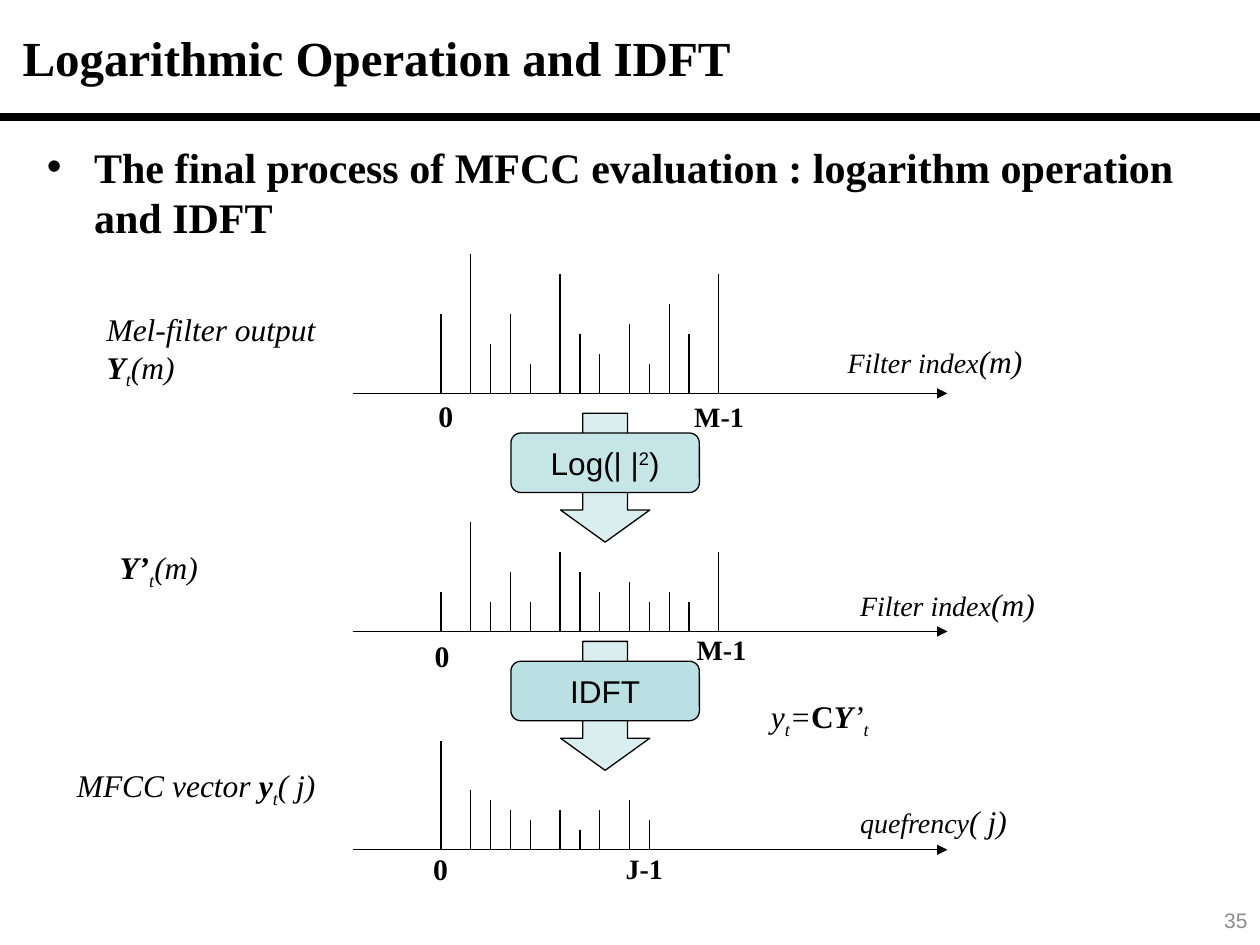
"""Build the slide on the logarithm and IDFT steps of MFCC evaluation."""
import pptx
import pptx.dml.color
import pptx.enum.shapes
import pptx.enum.text
import pptx.oxml.ns
import pptx.util
from lxml import etree

Cm = pptx.util.Cm
Pt = pptx.util.Pt
RGBColor = pptx.dml.color.RGBColor
ALIGN = pptx.enum.text.PP_ALIGN
ANCHOR = pptx.enum.text.MSO_ANCHOR
SHAPE = pptx.enum.shapes.MSO_SHAPE
qn = pptx.oxml.ns.qn

BLACK = RGBColor(0x00, 0x00, 0x00)
GRAY = RGBColor(0x8C, 0x8C, 0x8C)
ARROW_FILL = RGBColor(0xD2, 0xEA, 0xEC)
LOG_FILL = RGBColor(0xC5, 0xE5, 0xE7)
IDFT_FILL = RGBColor(0xBB, 0xE0, 0xE3)
SERIF, SANS = "Times New Roman", "Arial"

TITLE = "Logarithmic Operation and IDFT"
BODY = "The final process of MFCC evaluation : logarithm operation and IDFT"

GRID = 0.2
AXIS_LEFT, AXIS_RIGHT, STEM_LEFT = 7.11, 19.1, 8.89
STEM_STEPS = (0, 3, 5, 7, 9, 12, 14, 16, 19, 21, 23, 25, 28)
SPECTRA = [
    (7.93, (8, 14, 5, 8, 3, 12, 6, 4, 7, 3, 9, 6, 12)),
    (12.73, (4, 11, 3, 6, 3, 8, 6, 4, 5, 3, 4, 3, 8)),
    (17.13, (11, 6, 5, 4, 3, 4, 2, 4, 5, 3)),
]
STEPS = [
    (8.33, LOG_FILL, [("Log(| |", ""), ("2", "^"), (")", "")]),
    (12.93, IDFT_FILL, [("IDFT", "")]),
]

FORMULAS = [
    (1.9, 6.12, 4.93, 1.8, [("Mel-filter output", "i"), ("\n", ""), ("Y", "bi"), ("t", "i_"), ("(m)", "i")]),
    (2.16, 10.92, 2.13, 1.02, [("Y’", "bi"), ("t", "i_"), ("(m)", "i")]),
    (1.3, 15.32, 5.33, 1.02, [("MFCC vector ", "i"), ("y", "bi"), ("t", "i_"), ("( j)", "i")]),
    (15.29, 13.92, 2.51, 1.02,
     [("y", "i"), ("t", "i_"), ("=", "i"), ("C", "b"), ("Y", "bi"), ("’", "i"), ("t", "i_")]),
    (16.84, 6.78, 4.06, 1.02, [("Filter index", "is"), ("(m)", "i")]),
    (17.09, 11.66, 4.06, 1.02, [("Filter index", "is"), ("(m)", "i")]),
    (17.09, 16.05, 3.51, 1.02, [("quefrency", "is"), ("( j)", "i")]),
]
TICKS = [
    (8.59, 7.9, 0.61, "0", 17, ALIGN.LEFT),
    (8.51, 12.73, 0.61, "0", 17, ALIGN.LEFT),
    (8.48, 17.02, 0.89, "0", 17, ALIGN.LEFT),
    (13.39, 7.92, 2.21, "M-1", 16, ALIGN.CENTER),
    (13.44, 12.62, 2.21, "M-1", 16, ALIGN.CENTER),
    (12.29, 17.04, 1.4, "J-1", 16, ALIGN.CENTER),
]


def box(x, y, w, h):
    return Cm(x), Cm(y), Cm(w), Cm(h)


def set_font(p, name, size, color=BLACK, bold=None):
    p.font.name, p.font.size, p.font.bold = name, Pt(size), bold
    p.font.color.rgb = color


def add_line(s, x1, y1, x2, y2, width=0.75, arrow=False):
    line = s.shapes.add_connector(
        pptx.enum.shapes.MSO_CONNECTOR.STRAIGHT, Cm(x1), Cm(y1), Cm(x2), Cm(y2))
    line.line.color.rgb, line.line.width = BLACK, Pt(width)
    if arrow:
        etree.SubElement(line.line._get_or_add_ln(), qn("a:tailEnd"), type="triangle")
    etree.SubElement(line._element.spPr, qn("a:effectLst"))


def add_shape(s, kind, place, fill):
    sp = s.shapes.add_shape(kind, *place)
    sp.shadow.inherit = False
    sp.fill.solid()
    sp.fill.fore_color.rgb = fill
    sp.line.color.rgb, sp.line.width = BLACK, Pt(0.75)
    return sp


def add_runs(p, runs, name):
    set_font(p, name, 18)
    for text, style in runs:
        if text == "\n":
            p.add_line_break()
            continue
        r = p.add_run()
        r.text = text
        r.font.bold, r.font.italic = "b" in style, "i" in style
        if "s" in style:
            r.font.size = Pt(16)
        for mark, baseline in (("_", "-25000"), ("^", "30000")):
            if mark in style:
                r._r.get_or_add_rPr().set("baseline", baseline)


def add_label(s, place, text, name, size, align, color=BLACK, bold=None):
    tf = s.shapes.add_textbox(*place).text_frame
    tf.word_wrap = True
    p = tf.paragraphs[0]
    p.text, p.alignment = text, align
    set_font(p, name, size, color, bold)
    return tf


def fill_placeholder(sp, place, text, size):
    sp.left, sp.top, sp.width, sp.height = place
    tf = sp.text_frame
    tf.text = text
    tf.auto_size = pptx.enum.text.MSO_AUTO_SIZE.NONE
    p = tf.paragraphs[0]
    p.alignment, p.space_before = ALIGN.LEFT, Pt(0)
    set_font(p, SERIF, size, bold=True)


def add_step(s, top, fill, runs):
    arrow = add_shape(s, SHAPE.DOWN_ARROW, box(11.3, top, 1.8, 2.6), ARROW_FILL)
    arrow.adjustments[1] = 0.36
    color = arrow._element.spPr.find(qn("a:solidFill"))[0]
    etree.SubElement(color, qn("a:alpha"), val="80000")
    sp = add_shape(s, SHAPE.ROUNDED_RECTANGLE, box(10.3, top + 0.4, 3.8, 1.2), fill)
    tf = sp.text_frame
    tf.word_wrap, tf.vertical_anchor = False, ANCHOR.MIDDLE
    tf.paragraphs[0].alignment = ALIGN.CENTER
    add_runs(tf.paragraphs[0], runs, SANS)


def main():
    prs = pptx.Presentation()
    prs.slide_width, prs.slide_height = Cm(25.4), Cm(19.05)
    s = prs.slides.add_slide(prs.slide_layouts[1])
    fill_placeholder(s.shapes.title, box(0.2, 0.2, 25, 1.9), TITLE, 28)
    fill_placeholder(s.placeholders[1], box(0.69, 2.72, 23.44, 14.3), BODY, 24)
    add_line(s, 0, 2.36, 25.4, 2.36, width=4.5)

    for base, heights in SPECTRA:
        add_line(s, AXIS_LEFT, base, AXIS_RIGHT, base, arrow=True)
        for step, height in zip(STEM_STEPS, heights):
            x = STEM_LEFT + step * GRID
            add_line(s, x, base, x, base - height * GRID)
    for step in STEPS:
        add_step(s, *step)

    for *place, runs in FORMULAS:
        tf = s.shapes.add_textbox(*box(*place)).text_frame
        tf.word_wrap = False
        add_runs(tf.paragraphs[0], runs, SERIF)
    for x, y, w, text, size, align in TICKS:
        add_label(s, box(x, y, w, 0.95), text, SERIF, size, align, bold=True)
    tf = add_label(s, box(19.69, 18.03, 5.71, 1.02), "35", SANS, 12, ALIGN.RIGHT, GRAY)
    tf.vertical_anchor = ANCHOR.MIDDLE
    prs.save("out.pptx")


if __name__ == "__main__":
    main()
